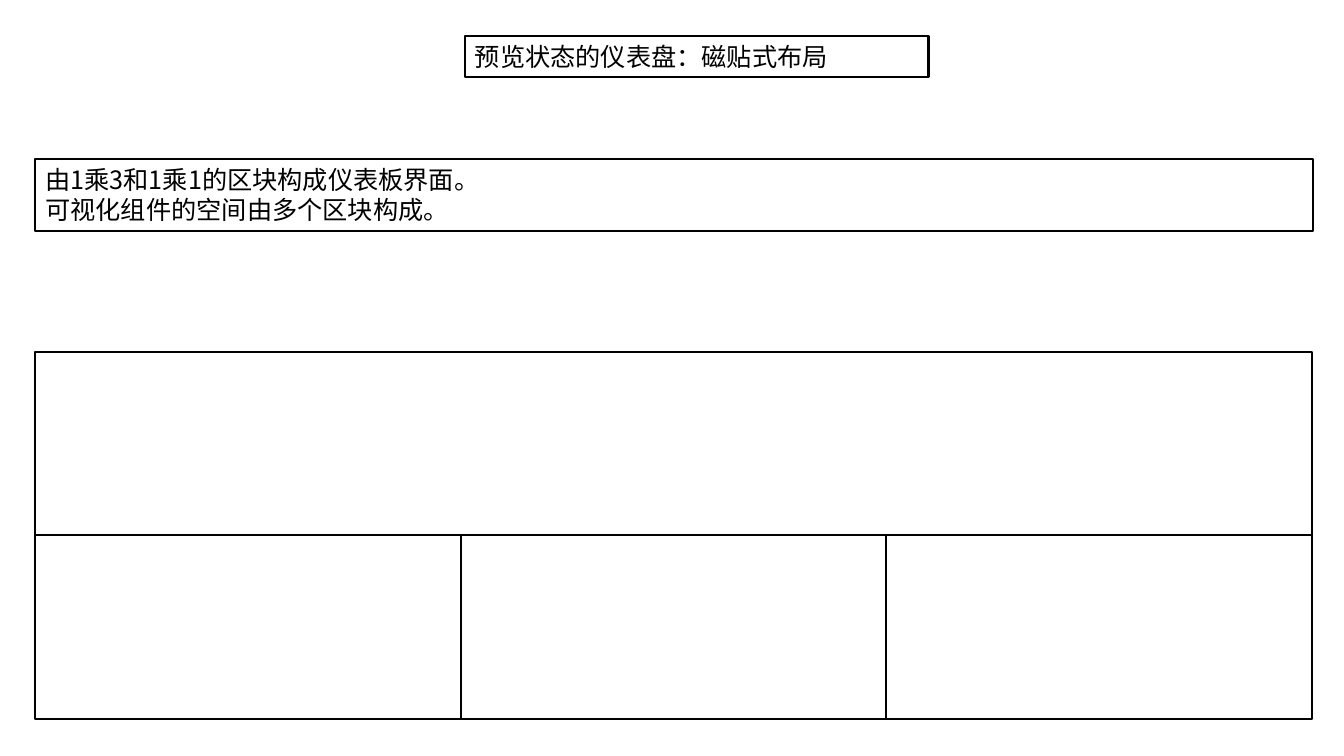
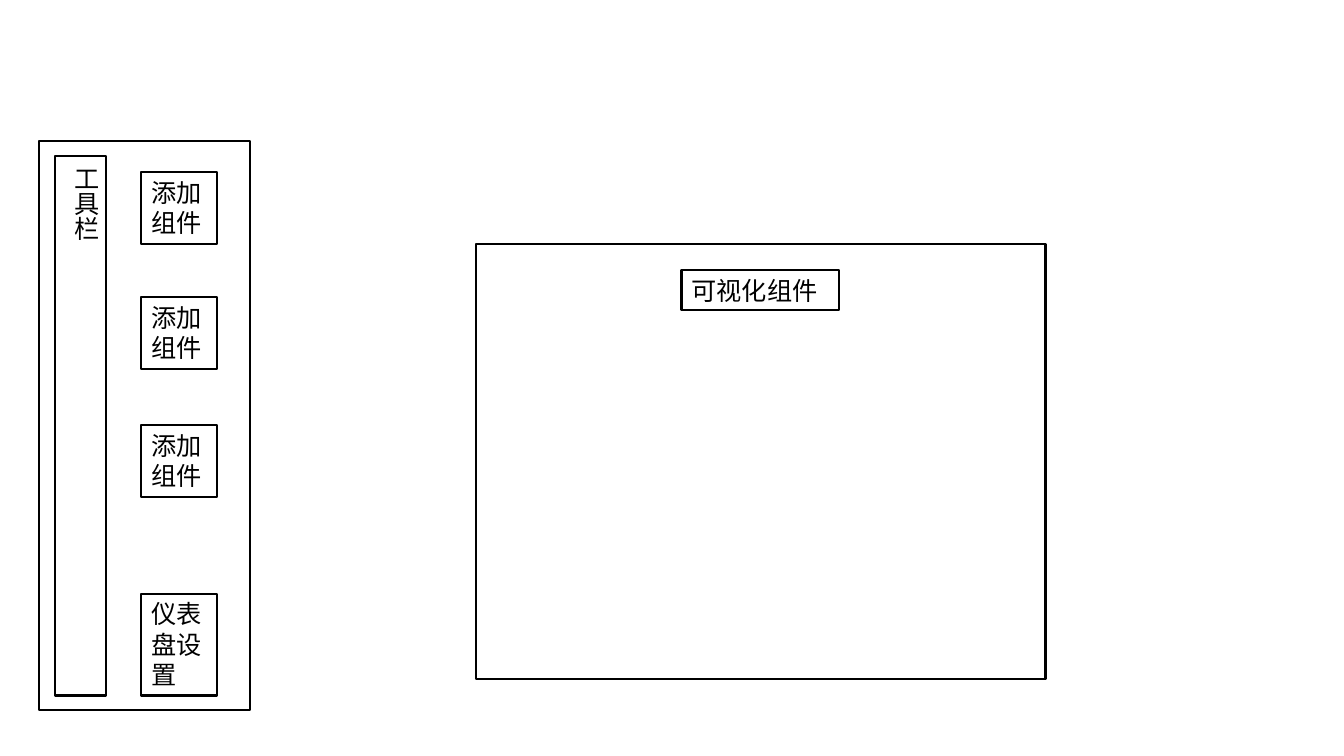
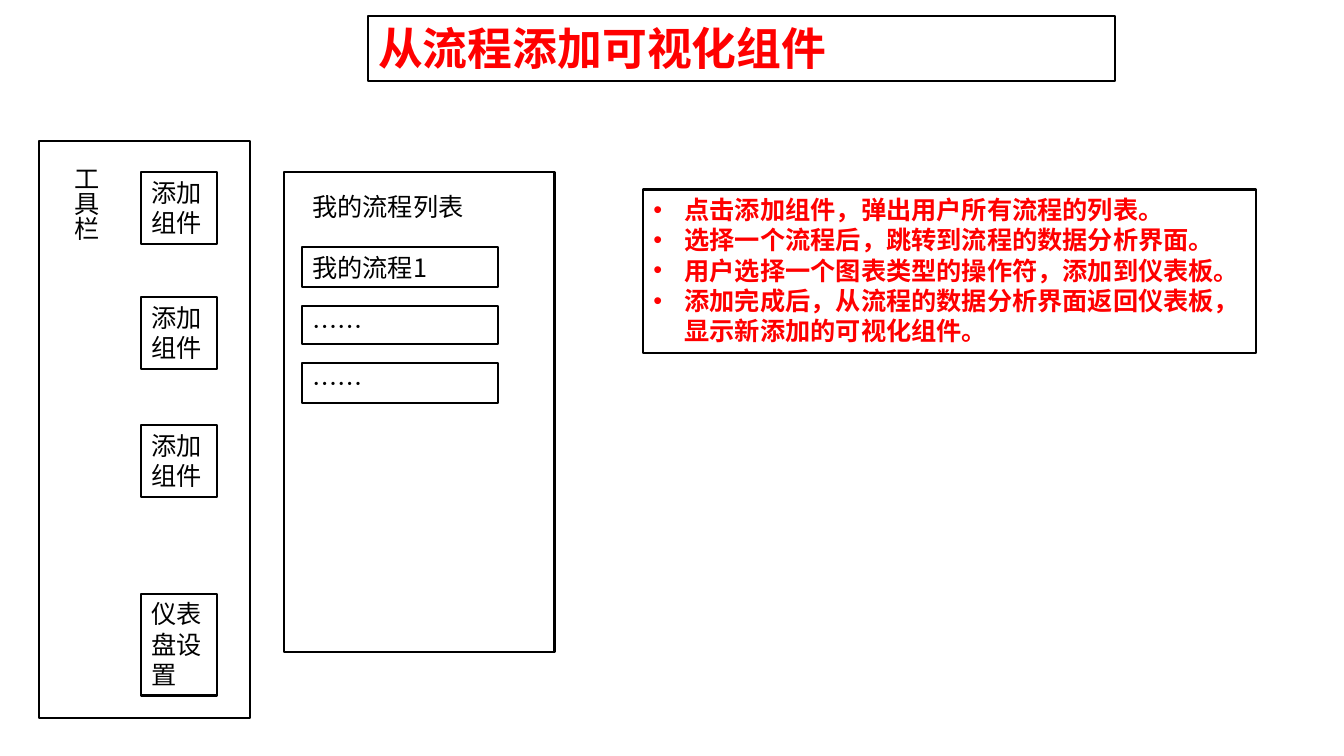
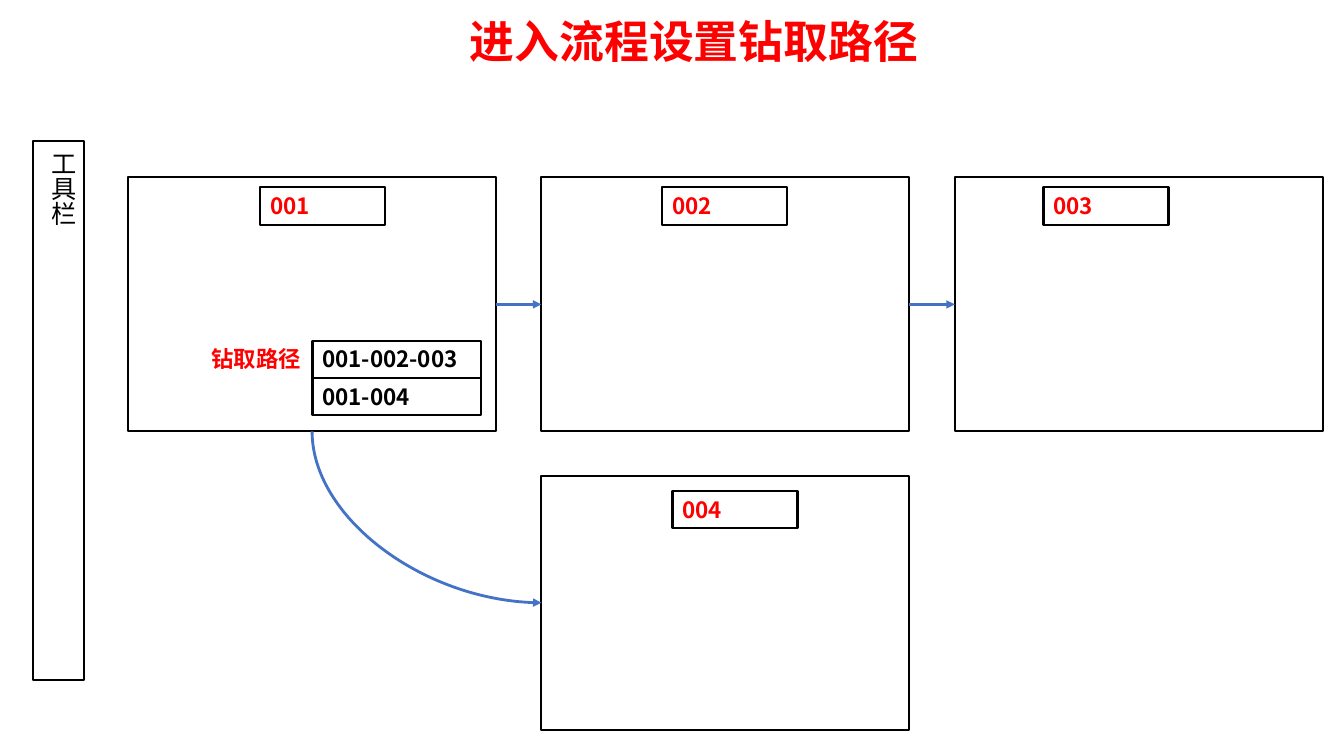
from lxml.etree import SubElement
from pptx import Presentation
from pptx.dml.color import RGBColor
from pptx.enum.shapes import MSO_CONNECTOR, MSO_SHAPE
from pptx.enum.text import MSO_ANCHOR, MSO_AUTO_SIZE, PP_ALIGN
from pptx.oxml.ns import qn
from pptx.util import Pt

PX = 9144  # 100 px to the inch
COLORS = {"ink": "000000", "accent": "FF0000", "arrow": "4472C4"}
FONT = "Noto Sans CJK SC"
LINE_HEIGHT = 1.2
TITLE_AND_BODY, TITLE_ONLY, BLANK = 1, 5, 6
TOP, LEFT, BOTTOM, RIGHT = range(4)  # connection sites of a rectangle
PANEL_X, PANEL_Y = 39, 140


def px(*lengths):
    return [round(length * PX) for length in lengths]


def color(name):
    return RGBColor.from_string(COLORS[name])


def outline(shape):
    shape.line.color.rgb = color("ink")
    shape.line.width = Pt(1.5)


def write(shape, lines, size=18, ink="ink", bold=False, align=PP_ALIGN.LEFT):
    frame = shape.text_frame
    frame.text = "\n".join(lines)
    frame.word_wrap = True
    frame.auto_size = MSO_AUTO_SIZE.NONE
    frame.vertical_anchor = MSO_ANCHOR.TOP
    for para in frame.paragraphs:
        para.alignment = align
        para.line_spacing = Pt(size * LINE_HEIGHT)
        para.space_before = Pt(0)
        for span in para.runs:
            span.font.name = FONT
            span.font.size = Pt(size)
            span.font.bold = bold
            span.font.color.rgb = color(ink)
            SubElement(span.font._element, qn("a:ea"), typeface=FONT)


def add_box(page, x, y, width, height, text="", **style):
    """Add an outlined, unfilled rectangle, with text if there is any."""
    box = page.shapes.add_shape(MSO_SHAPE.RECTANGLE, *px(x, y, width, height))
    box.shadow.inherit = False
    box.fill.background()
    outline(box)
    if text:
        write(box, [text], **style)
    return box


def add_label(page, x, y, width, height, text, **style):
    label = page.shapes.add_textbox(*px(x, y, width, height))
    write(label, [text], **style)
    return label


def place(shape, x, y, width, height):
    shape.left, shape.top, shape.width, shape.height = px(x, y, width, height)


def set_title(page, x, y, width, height, text, framed=True, **style):
    title = page.shapes.title
    place(title, x, y, width, height)
    write(title, [text], **style)
    if framed:
        outline(title)


def set_body(page, x, y, width, height, lines, bullet="", **style):
    body = page.placeholders[1]
    place(body, x, y, width, height)
    write(body, lines, **style)
    outline(body)
    indent = px(31)[0] if bullet else 0
    for para in body.text_frame.paragraphs:
        properties = para._p.get_or_add_pPr()
        properties.set("marL", str(indent))
        properties.set("indent", str(-indent))
        if bullet:
            SubElement(properties, qn("a:buFont"), typeface="Arial")
            SubElement(properties, qn("a:buChar"), char=bullet)
        else:
            SubElement(properties, qn("a:buNone"))


def add_toolbar_name(page, x, y, add=add_box):
    name = add(page, x, y, 50, 535, "工具栏", align=PP_ALIGN.JUSTIFY)
    name.text_frame._txBody.bodyPr.set("vert", "eaVert")


def add_tool_panel(page, x, y, height, add_name):
    add_box(page, x, y, 209, height)
    add_toolbar_name(page, x + 16, y + 15, add_name)
    for offset in (31, 155, 282):
        add_box(page, x + 101, y + offset, 75, 71, "添加组件")
    add_box(page, x + 101, y + 449, 75, 101, "仪表盘设置")


def add_process_list(page, x, y):
    add_box(page, x, y, 268, 476)
    add_label(page, x + 18, y + 14, 194, 40, "我的流程列表")
    for offset, height, text in ((74, 40, "我的流程1"), (133, 37, "……"), (189, 40, "……")):
        add_box(page, x + 18, y + offset, 194, height, text)


def add_view(page, x, y, name, name_x, name_y):
    view = add_box(page, x, y, 365, 252)
    add_box(page, x + name_x, y + name_y, 124, 37, name, size=16, ink="accent", bold=True)
    return view


def add_drill_paths(page, x, y):
    add_label(page, x, y, 110, 37, "钻取路径", size=16, ink="accent", bold=True)
    for row, route in enumerate(("001-002-003", "001-004")):
        add_box(page, x + 110, y + 37 * row, 167, 37, route, size=16, bold=True)


def add_arrow(page, start, start_site, end, end_site, kind=MSO_CONNECTOR.STRAIGHT):
    arrow = page.shapes.add_connector(kind, 0, 0, 0, 0)
    arrow.begin_connect(start, start_site)
    arrow.end_connect(end, end_site)
    arrow.line.color.rgb = color("arrow")
    arrow.line.width = Pt(2)
    SubElement(arrow.line._get_or_add_ln(), qn("a:tailEnd"), type="triangle")
    SubElement(arrow._element.spPr, qn("a:effectLst"))
    return arrow


def add_quarter_curve(page, start, end):
    """Join the bottom of start to the left of end with one bend."""
    arrow = add_arrow(page, start, BOTTOM, end, LEFT, MSO_CONNECTOR.CURVE)
    middle_x, middle_y = arrow.left + arrow.width // 2, arrow.top + arrow.height // 2
    # The bend leaves sideways, so it is mirrored and turned to leave downwards.
    half_width, half_height = arrow.height // 2, arrow.width // 2
    arrow.begin_x, arrow.end_x = middle_x + half_width, middle_x - half_width
    arrow.begin_y, arrow.end_y = middle_y - half_height, middle_y + half_height
    properties = arrow._element.spPr
    properties.find(qn("a:prstGeom")).set("prst", "curvedConnector2")
    properties.find(qn("a:xfrm")).set("rot", str(270 * 60000))


def build_tile_layout(page):
    set_title(page, 461, 36, 460, 40, "预览状态的仪表盘：磁贴式布局")
    set_body(page, 35, 158, 1267, 71,
             ["由1乘3和1乘1的区块构成仪表板界面。", "可视化组件的空间由多个区块构成。"])
    x, y, width, height = 35, 349, 422, 182
    add_box(page, x, y, 3 * width, height)
    for column in range(3):
        add_box(page, x + column * width, y + height, width, height)


def build_editor(page):
    add_tool_panel(page, PANEL_X, PANEL_Y, 564, add_box)
    add_box(page, 472, 242, 565, 432)
    add_box(page, 676, 268, 156, 40, "可视化组件")


def build_add_from_process(page):
    set_title(page, 365, 16, 741, 64, "从流程添加可视化组件", size=32, ink="accent", bold=True)
    add_tool_panel(page, PANEL_X, PANEL_Y, 572, add_label)
    add_process_list(page, 282, 171)
    set_body(page, 638, 188, 608, 162, [
        "点击添加组件，弹出用户所有流程的列表。",
        "选择一个流程后，跳转到流程的数据分析界面。",
        "用户选择一个图表类型的操作符，添加到仪表板。",
        "添加完成后，从流程的数据分析界面返回仪表板，显示新添加的可视化组件。",
    ], bullet="•", ink="accent", bold=True)


def build_drill_path(page):
    set_title(page, 456, 9, 741, 64, "进入流程设置钻取路径", framed=False,
              size=32, ink="accent", bold=True)
    add_toolbar_name(page, 33, 140)
    x, y, step_x, step_y = 127, 176, 410, 296
    first, second, third = [
        add_view(page, x + column * step_x, y, name, name_x, 10)
        for column, (name, name_x) in enumerate((("001", 131), ("002", 120), ("003", 88)))
    ]
    fourth = add_view(page, x + step_x, y + step_y, "004", 130, 15)
    add_drill_paths(page, x + 73, y + 162)
    add_arrow(page, first, RIGHT, second, LEFT)
    add_arrow(page, second, RIGHT, third, LEFT)
    add_quarter_curve(page, first, fourth)


def main():
    deck = Presentation()
    deck.slide_width, deck.slide_height = px(1333, 750)
    for layout, build in (
        (TITLE_AND_BODY, build_tile_layout),
        (BLANK, build_editor),
        (TITLE_AND_BODY, build_add_from_process),
        (TITLE_ONLY, build_drill_path),
    ):
        build(deck.slides.add_slide(deck.slide_layouts[layout]))
    deck.save("out.pptx")


if __name__ == "__main__":
    main()
